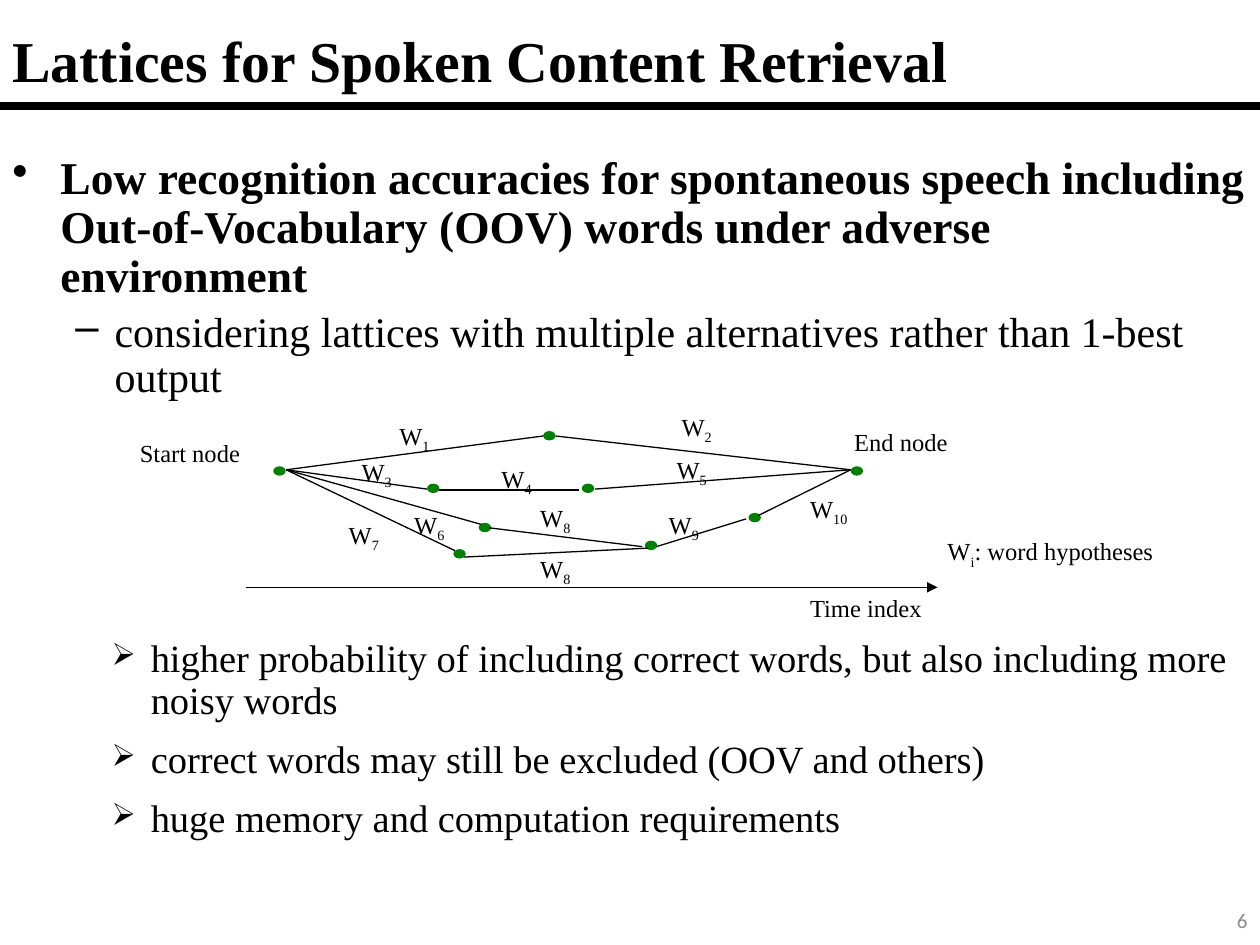
"""Build the slide on lattices for spoken content retrieval."""
from dataclasses import dataclass

from lxml import etree
from pptx import Presentation
from pptx.dml.color import RGBColor
from pptx.enum.shapes import MSO_CONNECTOR as Connector, MSO_SHAPE as Shape
from pptx.enum.text import MSO_ANCHOR as Anchor, PP_ALIGN as Align
from pptx.oxml.ns import qn
from pptx.util import Cm, Pt


@dataclass(frozen=True)
class Theme:
    ink: RGBColor = RGBColor(0, 0, 0)
    node: RGBColor = RGBColor(0, 128, 0)
    muted: RGBColor = RGBColor(140, 140, 140)
    serif: str = "Times New Roman"
    sans: str = "Calibri"
    title: int = 33
    point: int = 26
    detail: int = 24
    item: int = 22
    label: int = 14
    number: int = 12


theme = Theme()
deck = Presentation()
deck.slide_width, deck.slide_height = Cm(25.4), Cm(19.05)
page = deck.slides.add_slide(deck.slide_layouts[6])


def add_text(left, top, width, height, parts, size, bold=False, color=theme.ink, font=theme.serif):
    box = page.shapes.add_textbox(Cm(left), Cm(top), Cm(width), Cm(height))
    box.text_frame.word_wrap = True
    para = box.text_frame.paragraphs[0]
    for index, part in enumerate(parts):
        span = para.add_run()
        span.text = part
        span.font.size, span.font.bold, span.font.name = Pt(size), bold, font
        span.font.color.rgb = color
        if index == 1:
            span.font._element.set("baseline", "-25000")
    return box.text_frame


def add_line(start, end, weight=0.75):
    line = page.shapes.add_connector(Connector.STRAIGHT, *map(Cm, start + end))
    line.line.color.rgb = theme.ink
    line.line.width = Pt(weight)
    etree.SubElement(line._element.spPr, qn("a:effectLst"))
    return line


bullets = [
    ("•", 100, 0.97, -0.97, theme.point, True, 5, 0,
     "Low recognition accuracies for spontaneous speech including "
     "Out-of-Vocabulary (OOV) words under adverse environment"),
    ("–", 100, 2.06, -0.79, theme.detail, False, 5, 0,
     "considering lattices with multiple alternatives rather than 1-best output"),
    ("➢", 80, 2.79, -0.79, theme.item, False, 136, 5,
     "higher probability of including correct words, but also including more noisy words"),
    ("➢", 80, 2.79, -0.79, theme.item, False, 5, 5,
     "correct words may still be excluded (OOV and others)"),
    ("➢", 80, 2.79, -0.79, theme.item, False, 5, 5,
     "huge memory and computation requirements"),
]
body = add_text(0, 3, 25.4, 14.5, [], theme.point)
for index, (mark, scale, margin, indent, size, bold, before, after, text) in enumerate(bullets):
    para = body.add_paragraph() if index else body.paragraphs[0]
    para.text = text
    para.line_spacing = 0.9
    para.space_before, para.space_after = Pt(before), Pt(after)
    span = para.runs[0]
    span.font.size, span.font.bold, span.font.name = Pt(size), bold, theme.serif
    span.font.color.rgb = theme.ink
    layout = para._p.get_or_add_pPr()
    layout.set("marL", str(Cm(margin)))
    layout.set("indent", str(Cm(indent)))
    etree.SubElement(layout, qn("a:buSzPct"), val=str(scale * 1000))
    etree.SubElement(layout, qn("a:buChar"), char=mark)

title = add_text(0, 0.2, 25.4, 2, ["Lattices for Spoken Content Retrieval"], theme.title, True)
title.vertical_anchor = Anchor.MIDDLE
add_line((0, 2.13), (25.4, 2.13), 4.5)

nodes = [
    (5.51, 9.4), (10.95, 8.69), (8.61, 9.75), (11.73, 9.75), (9.65, 10.54),
    (9.14, 11.07), (13, 10.9), (15.09, 10.34), (17.15, 9.4),
]
for left, top in nodes:
    node = page.shapes.add_shape(Shape.OVAL, Cm(left), Cm(top), Cm(0.25), Cm(0.19))
    node.shadow.inherit = False
    node.fill.solid()
    node.fill.fore_color.rgb = theme.node
    node.line.fill.background()

start, end = (5.77, 9.47), (17.15, 9.47)
edges = [
    (start, (10.95, 8.79)), ((11.2, 8.79), end),
    (start, (8.61, 9.86)), ((8.84, 9.88), (11.68, 9.88)), ((11.99, 9.86), end),
    (start, (9.7, 10.57)), ((9.86, 10.64), (12.95, 11.02)),
    (start, (9.17, 11.1)), ((9.35, 11.23), (13.06, 11.05)),
    ((13.23, 11.02), (15.04, 10.46)), ((15.29, 10.39), end),
]
for edge in edges:
    add_line(*edge)

time_axis = add_line((4.95, 11.84), (18.9, 11.84))
etree.SubElement(time_axis.line._get_or_add_ln(), qn("a:tailEnd"), type="triangle")

labels = [
    (7.8, 8.36, 1.14, ["W", "1"]), (13.49, 8.18, 1.14, ["W", "2"]),
    (7.04, 9.09, 1.14, ["W", "3"]), (9.86, 9.22, 1.14, ["W", "4"]),
    (13.39, 9.04, 1.14, ["W", "5"]), (8.1, 10.16, 1.14, ["W", "6"]),
    (6.78, 10.36, 1.14, ["W", "7"]), (10.64, 10.01, 1.14, ["W", "8"]),
    (10.64, 11.05, 1.14, ["W", "8"]), (13.23, 10.16, 1.14, ["W", "9"]),
    (16.08, 9.83, 1.32, ["W", "10"]), (18.85, 10.69, 4.7, ["W", "i", ": word hypotheses"]),
    (2.57, 8.71, 2.54, ["Start node"]), (16.97, 8.48, 2.41, ["End node"]),
    (16.08, 11.84, 2.77, ["Time index"]),
]
for left, top, width, parts in labels:
    label = add_text(left, top, width, 0.86, parts, theme.label)
    label.margin_right = 0

number = add_text(19.69, 18.03, 5.71, 1.02, ["6"], theme.number, color=theme.muted, font=theme.sans)
number.vertical_anchor = Anchor.MIDDLE
number.paragraphs[0].alignment = Align.RIGHT

deck.save("out.pptx")
